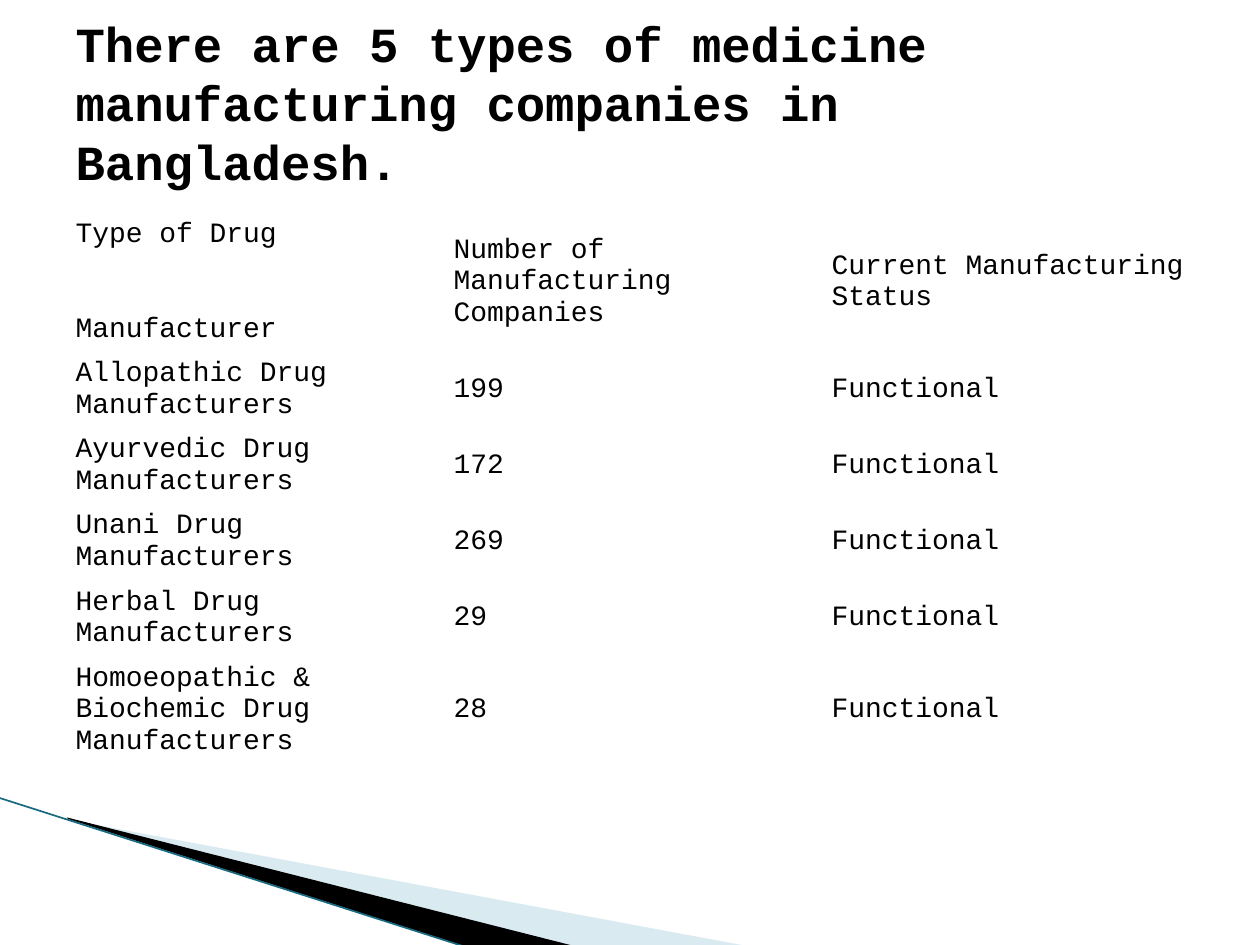
from typing import NamedTuple

from lxml import etree
from pptx import Presentation
from pptx.dml.color import RGBColor
from pptx.enum.shapes import MSO_CONNECTOR
from pptx.enum.text import MSO_ANCHOR, MSO_AUTO_SIZE, PP_ALIGN
from pptx.oxml.ns import qn
from pptx.util import Cm, Pt

STRAIGHT = MSO_CONNECTOR.STRAIGHT
MIDDLE = MSO_ANCHOR.MIDDLE
LEFT = PP_ALIGN.LEFT
NO_AUTOFIT = MSO_AUTO_SIZE.NONE

FONT = "Courier New"
BLACK = "000000"
PALE_BLUE = "A0CBDC"
TEAL = "16697F"
COLUMN_WIDTH = Cm(7.62)
HEADER_GAP = Pt(36)


class Wedge(NamedTuple):
    points: list[tuple[float, float]]  # centimetres
    color: str
    opacity: int  # percent


class Row(NamedTuple):
    height: float  # centimetres
    cells: list[str]


WEDGES = [
    Wedge([(1.4, 16.53), (15.11, 19.08), (11.58, 19.08), (1.4, 16.51)], PALE_BLUE, 40),
    Wedge([(1.35, 16.48), (11.61, 19.08), (9.45, 19.1), (1.37, 16.51)], BLACK, 100),
]

ROWS = [
    Row(2.81, ["Type of Drug\nManufacturer", "Number of Manufacturing Companies",
               "Current Manufacturing Status"]),
    Row(1.53, ["Allopathic Drug Manufacturers", "199", "Functional"]),
    Row(1.53, ["Ayurvedic Drug Manufacturers", "172", "Functional"]),
    Row(1.53, ["Unani Drug Manufacturers", "269", "Functional"]),
    Row(1.53, ["Herbal Drug Manufacturers", "29", "Functional"]),
    Row(2.18, ["Homoeopathic & Biochemic Drug Manufacturers", "28", "Functional"]),
]


def set_color(color_format, color: str) -> None:
    color_format.rgb = RGBColor.from_string(color)


def add_run(paragraph, text: str, size: int, bold: bool = False) -> None:
    paragraph.alignment = LEFT
    run = paragraph.add_run()
    run.text = text
    run.font.name = FONT
    run.font.size = Pt(size)
    run.font.bold = bold
    set_color(run.font.color, BLACK)


def add_wedge(slide, wedge: Wedge) -> None:
    start, *others = [(Cm(x), Cm(y)) for x, y in wedge.points]
    builder = slide.shapes.build_freeform(*start)
    builder.add_line_segments(others, close=True)
    shape = builder.convert_to_shape()
    shape.shadow.inherit = False
    shape.line.fill.background()
    shape.fill.solid()
    set_color(shape.fill.fore_color, wedge.color)
    if wedge.opacity < 100:
        color = shape.fill._xPr.find(".//" + qn("a:srgbClr"))
        etree.SubElement(color, qn("a:alpha"), val=str(wedge.opacity * 1000))


def add_edge_line(slide) -> None:
    line = slide.shapes.add_connector(STRAIGHT, Cm(-0.03), Cm(16.08), Cm(9.42), Cm(19.1))
    line.line.width = Pt(0.95)
    set_color(line.line.color, TEAL)
    etree.SubElement(line._element.spPr, qn("a:effectLst"))


def format_title(slide, text: str) -> None:
    title = slide.shapes.title
    title.left, title.top, title.width, title.height = Cm(1.27), Cm(0.46), Cm(22.86), Cm(3.18)
    frame = title.text_frame
    frame.word_wrap = True
    frame.auto_size = NO_AUTOFIT
    frame.vertical_anchor = MIDDLE
    add_run(frame.paragraphs[0], text, 28, bold=True)


def add_manufacturer_table(slide, rows: list[Row]) -> None:
    column_count = len(rows[0].cells)
    height = Cm(sum(row.height for row in rows))
    table = slide.shapes.add_table(len(rows), column_count, Cm(1.27), Cm(4.29),
                                   COLUMN_WIDTH * column_count, height).table
    table.first_row = False
    table.horz_banding = False
    for column in table.columns:
        column.width = COLUMN_WIDTH
    for row_index, row in enumerate(rows):
        table.rows[row_index].height = Cm(row.height)
        for column_index, text in enumerate(row.cells):
            fill_cell(table.cell(row_index, column_index), text)


def fill_cell(cell, text: str) -> None:
    cell.vertical_anchor = MIDDLE
    # Clear the borders that the table style would draw
    properties = cell._tc.get_or_add_tcPr()
    for side in ("a:lnL", "a:lnR", "a:lnT", "a:lnB"):
        border = etree.SubElement(properties, qn(side))
        etree.SubElement(border, qn("a:noFill"))
    cell.fill.background()
    for index, part in enumerate(text.split("\n")):
        if index == 0:
            paragraph = cell.text_frame.paragraphs[0]
        else:
            paragraph = cell.text_frame.add_paragraph()
            paragraph.space_before = HEADER_GAP
        add_run(paragraph, part, 16)


def main() -> None:
    presentation = Presentation()
    presentation.slide_width, presentation.slide_height = Cm(25.4), Cm(19.05)
    slide = presentation.slides.add_slide(presentation.slide_layouts[5])

    # Corner decoration
    for wedge in WEDGES:
        add_wedge(slide, wedge)
    add_edge_line(slide)

    # Title and table
    format_title(slide, "There are 5 types of medicine manufacturing companies in Bangladesh.")
    add_manufacturer_table(slide, ROWS)

    presentation.save("out.pptx")


if __name__ == "__main__":
    main()
